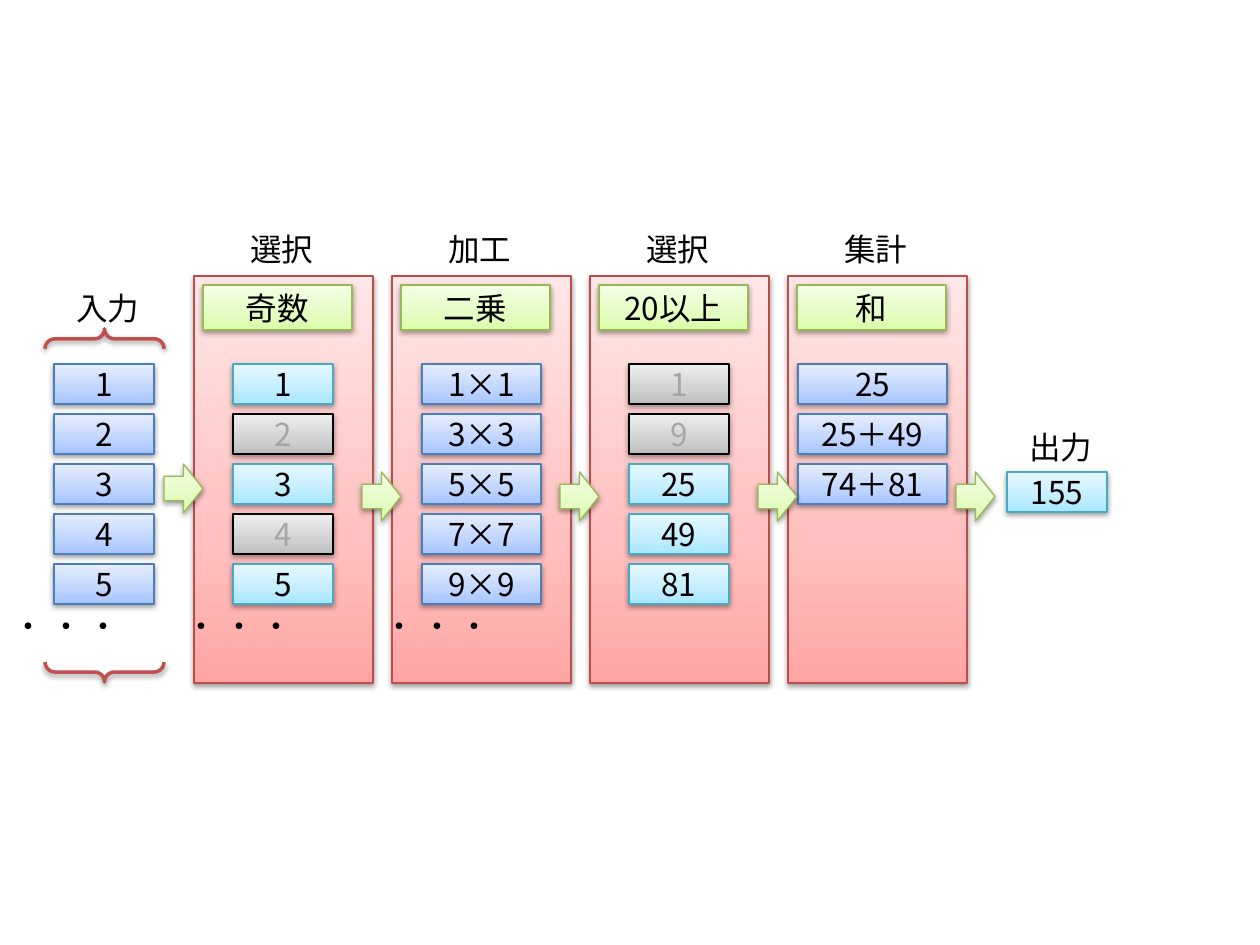
import copy

import pptx
import pptx.dml.color
import pptx.enum.lang
import pptx.enum.shapes
import pptx.enum.text
import pptx.oxml
import pptx.oxml.ns
import pptx.util

RGB = pptx.dml.color.RGBColor
SHAPE = pptx.enum.shapes.MSO_SHAPE
BLACK = RGB(0x00, 0x00, 0x00)
GRAY_TEXT = RGB(0xA6, 0xA6, 0xA6)
BRACE_RED = RGB(0xC0, 0x50, 0x4D)
RED_LINE = RGB(0xBF, 0x4C, 0x48)
BLUE_LINE = RGB(0x4B, 0x7E, 0xBC)
GREEN_LINE = RGB(0x98, 0xB9, 0x55)
CYAN_LINE = RGB(0x46, 0xAA, 0xC5)
RED = (RGB(0xFF, 0xA6, 0xA5), RGB(0xFF, 0xC0, 0xBF), RGB(0xFF, 0xE7, 0xE7))
BLUE = (RGB(0xA4, 0xC4, 0xFF), RGB(0xBF, 0xD4, 0xFF), RGB(0xE6, 0xEE, 0xFF))
GREEN = (RGB(0xDA, 0xFD, 0xA7), RGB(0xE4, 0xFC, 0xC2), RGB(0xF5, 0xFF, 0xE7))
CYAN = (RGB(0xA7, 0xE6, 0xFF), RGB(0xC1, 0xED, 0xFF), RGB(0xE7, 0xF8, 0xFF))
GRAY = (RGB(0xBD, 0xBD, 0xBD), RGB(0xD1, 0xD1, 0xD1), RGB(0xEE, 0xEE, 0xEE))

STYLES = {
    "stage": (RED, RED_LINE, BLACK),
    "value": (BLUE, BLUE_LINE, BLACK),
    "rule": (GREEN, GREEN_LINE, BLACK),
    "kept": (CYAN, CYAN_LINE, BLACK),
    "dropped": (GRAY, BLACK, GRAY_TEXT),
}
SHADOW = (
    '<a:outerShdw xmlns:a="http://schemas.openxmlformats.org/drawingml/2006/main" '
    'blurRad="40000" dist="20000" dir="5400000" rotWithShape="0">'
    '<a:srgbClr val="000000"><a:alpha val="38000"/></a:srgbClr></a:outerShdw>'
)

ROW_TOP, ROW_PITCH, ROW_H = 364, 50, 40
STAGE_LEFT, STAGE_PITCH, STAGE_TOP, STAGE_W, STAGE_H = 194, 198, 276, 179, 407
CELL_W, RULE_W = 100, 149
INPUTS = [(str(n), "value") for n in range(1, 6)]
STAGES = [
    ("選択", "奇数", 39, CELL_W, True,
     [(str(n), "kept" if n % 2 else "dropped") for n in range(1, 6)]),
    ("加工", "二乗", 30, 119, True,
     [(f"{n}×{n}", "value") for n in range(1, 10, 2)]),
    ("選択", "20以上", 39, CELL_W, False,
     [(str(n * n), "kept" if n * n >= 20 else "dropped") for n in range(1, 10, 2)]),
    ("集計", "和", 10, RULE_W, False,
     [(t, "value") for t in ("25", "25＋49", "74＋81")]),
]


def px(n):
    return pptx.util.Emu(round(n * 914400 / 126))


def write(tf, text, *, font="Arial", color=BLACK, align=None):
    p = tf.paragraphs[0]
    p.alignment = align
    r = p.add_run()
    r.text = text
    r.font.name = font
    r.font.size = pptx.util.Pt(18)
    r.font.color.rgb = color
    r.font.language_id = pptx.enum.lang.MSO_LANGUAGE_ID.JAPANESE


class Pipeline:
    """Draws the parts of a data pipeline on one slide."""

    def __init__(self, slide):
        self.s = slide

    def shape(self, kind, x, y, w, h, line, line_width=0.75):
        sp = self.s.shapes.add_shape(kind, px(x), px(y), px(w), px(h))
        sp.line.color.rgb = line
        sp.line.width = pptx.util.Pt(line_width)
        sp.shadow.inherit = False
        effects = sp.element.spPr.find(pptx.oxml.ns.qn("a:effectLst"))
        effects.append(pptx.oxml.parse_xml(SHADOW))
        return sp

    def block(self, kind, style, x, y, w, h, text=None):
        colors, line, text_color = STYLES[style]
        sp = self.shape(kind, x, y, w, h, line)
        sp.fill.gradient()
        sp.fill.gradient_angle = 90
        stops = sp.element.spPr.find(".//" + pptx.oxml.ns.qn("a:gsLst"))
        stops.append(copy.deepcopy(stops[-1]))
        for stop, at, color in zip(sp.fill.gradient_stops, (0, 0.35, 1), colors):
            stop.position = at
            stop.color.rgb = color
        if text:
            sp.text_frame.vertical_anchor = pptx.enum.text.MSO_ANCHOR.MIDDLE
            write(sp.text_frame, text, font="Noto Sans CJK JP", color=text_color,
                  align=pptx.enum.text.PP_ALIGN.CENTER)

    def cells(self, x, w, items):
        for i, (text, style) in enumerate(items):
            self.block(SHAPE.RECTANGLE, style, x, ROW_TOP + i * ROW_PITCH, w, ROW_H, text)

    def arrow(self, x, y):
        self.block(SHAPE.RIGHT_ARROW, "rule", x, y, 39, 49)

    def brace(self, x, y, w, h):
        sp = self.shape(SHAPE.DOUBLE_BRACE, x, y, w, h, BRACE_RED, 2)
        sp.fill.background()
        sp.rotation = 90

    def label(self, text, x, y, w=90, wrap=False):
        sp = self.s.shapes.add_textbox(px(x), px(y), px(w), px(50))
        sp.text_frame.word_wrap = wrap
        write(sp.text_frame, text)
        return sp

    def dots(self, x):
        self.label("・・・", x, 610, 73, wrap=True).rotation = 90

    def stage(self, x, title, rule, cell_offset, cell_w, more, items):
        self.block(SHAPE.RECTANGLE, "stage", x, STAGE_TOP, STAGE_W, STAGE_H)
        self.label(title, x + 44, 224)
        self.block(SHAPE.RECTANGLE, "rule", x + 9, 285, RULE_W, 45, rule)
        self.cells(x + cell_offset, cell_w, items)
        if more:
            self.dots(x + 47)


def main():
    prs = pptx.Presentation()
    prs.slide_width, prs.slide_height = px(1260), px(945)
    d = Pipeline(prs.slides.add_slide(prs.slide_layouts[6]))
    d.label("入力", 64, 283)
    d.cells(54, CELL_W, INPUTS)
    d.dots(68)
    d.brace(-72, 446, 353, 119)
    lefts = [STAGE_LEFT + i * STAGE_PITCH for i in range(len(STAGES))]
    for x, stage in zip(lefts, STAGES):
        d.stage(x, *stage)
    d.arrow(164, 464)
    for x in lefts:
        d.arrow(x + 168, 472)
    d.label("出力", 1017, 422)
    d.block(SHAPE.RECTANGLE, "kept", 1007, 472, CELL_W, ROW_H, "155")
    prs.save("out.pptx")


if __name__ == "__main__":
    main()
